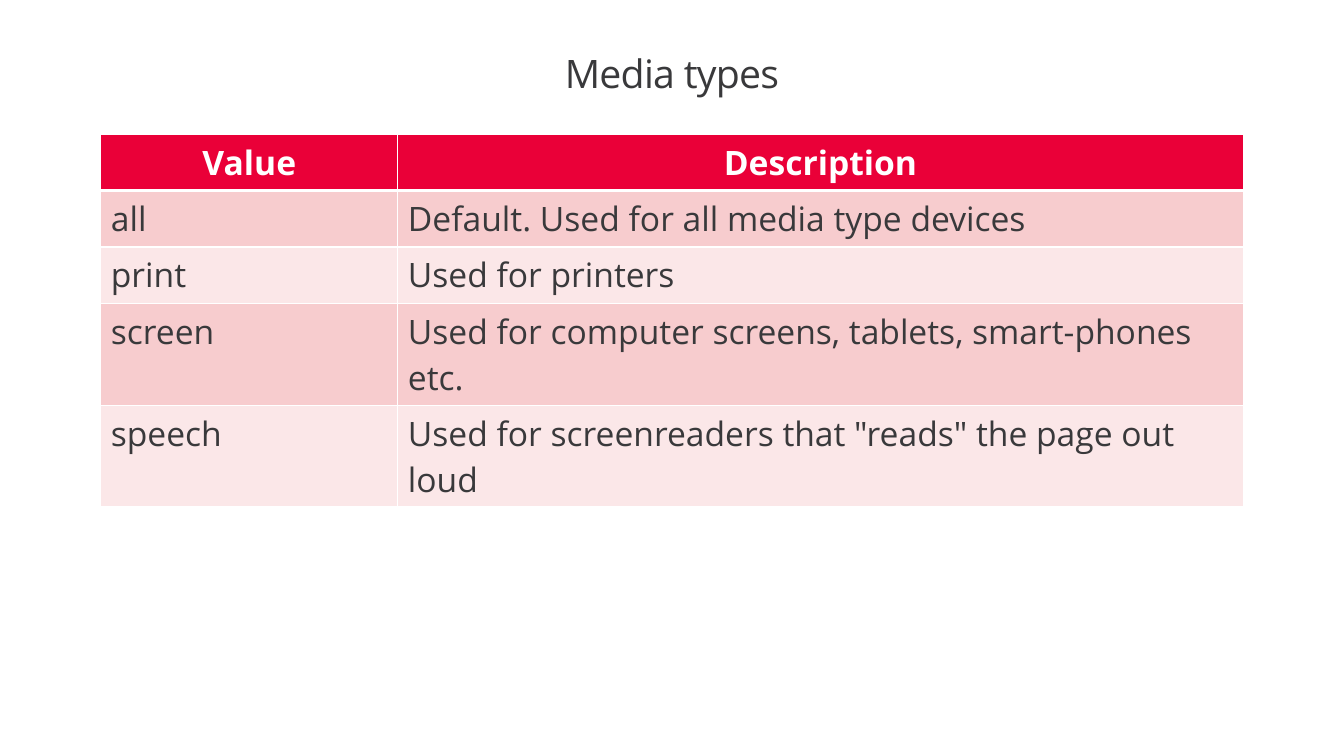
from lxml.etree import SubElement
from pptx import Presentation
from pptx.dml.color import RGBColor
from pptx.enum.text import MSO_ANCHOR, PP_ALIGN
from pptx.oxml.ns import qn
from pptx.util import Inches, Pt

WHITE = RGBColor(0xFF, 0xFF, 0xFF)
CHARCOAL = RGBColor(0x39, 0x39, 0x3B)
RED = RGBColor(0xEA, 0x00, 0x38)
ROSE = RGBColor(0xF7, 0xCC, 0xCE)
PALE_ROSE = RGBColor(0xFB, 0xE7, 0xE8)

TITLE_FORMAT = {"name": "Open Sans", "size": Pt(28), "bold": False}
HEADER_FORMAT = {"name": "Open Sans", "size": Pt(24), "bold": True}
BODY_FORMAT = HEADER_FORMAT | {"bold": False}
CELL_FORMAT = {
    "margin_left": Inches(0.1), "margin_right": Inches(0.1),
    "margin_top": Inches(0.05), "margin_bottom": Inches(0.05),
}

MEDIA_TYPES = [
    ("Value", "Description"),
    ("all", "Default. Used for all media type devices"),
    ("print", "Used for printers"),
    ("screen", "Used for computer screens, tablets, smart-phones etc."),
    ("speech", 'Used for screenreaders that "reads" the page out loud'),
]
COLUMN_SHARES = (0.26, 0.74)
ONE_LINE, TWO_LINES = 0.56, 1.01
ROW_HEIGHTS = (ONE_LINE, ONE_LINE, ONE_LINE, TWO_LINES, TWO_LINES)


def write(paragraph, wording, text_format, color, alignment):
    paragraph.alignment = alignment
    run = paragraph.add_run()
    run.text = wording
    for attribute, value in text_format.items():
        setattr(run.font, attribute, value)
    run.font.color.rgb = color
    return run


def add_title(slide, left, top, width, height, wording):
    title = slide.shapes.add_textbox(
        Inches(left), Inches(top), Inches(width), Inches(height))
    frame = title.text_frame
    frame_format = {
        "word_wrap": True, "vertical_anchor": MSO_ANCHOR.MIDDLE,
        "margin_left": 0, "margin_top": 0, "margin_right": 0, "margin_bottom": 0,
    }
    for attribute, value in frame_format.items():
        setattr(frame, attribute, value)
    heading = frame.paragraphs[0]
    heading.line_spacing = 0.86
    run = write(heading, wording, TITLE_FORMAT, CHARCOAL, PP_ALIGN.CENTER)
    run.font._element.set("spc", "-50")


def add_borders(cell, widths):
    """Draw white borders, given in points by side: L, R, T, B."""
    properties = cell._tc.get_or_add_tcPr()
    for side, width in widths.items():
        border = SubElement(properties, qn(f"a:ln{side}"), w=str(Pt(width)))
        fill = SubElement(border, qn("a:solidFill"))
        SubElement(fill, qn("a:srgbClr"), val=str(WHITE))


def add_media_table(slide, left, top, width, rows):
    table = slide.shapes.add_table(
        len(rows), len(COLUMN_SHARES), Inches(left), Inches(top),
        Inches(width), Inches(sum(ROW_HEIGHTS))).table
    for column, share in zip(table.columns, COLUMN_SHARES):
        column.width = Inches(width * share)
    for row, height in zip(table.rows, ROW_HEIGHTS):
        row.height = Inches(height)
    for row_number, wordings in enumerate(rows):
        if row_number == 0:
            fill, color = RED, WHITE
            text_format, alignment = HEADER_FORMAT, PP_ALIGN.CENTER
        else:
            fill, color = (ROSE if row_number % 2 else PALE_ROSE), CHARCOAL
            text_format, alignment = BODY_FORMAT, PP_ALIGN.LEFT
        borders = {"L": 1, "R": 1, "T": 3 if row_number == 1 else 1,
                   "B": 3 if row_number == 0 else 1}
        for column_number, wording in enumerate(wordings):
            cell = table.cell(row_number, column_number)
            for attribute, value in CELL_FORMAT.items():
                setattr(cell, attribute, value)
            add_borders(cell, borders)
            cell.fill.solid()
            cell.fill.fore_color.rgb = fill
            write(cell.text_frame.paragraphs[0], wording,
                  text_format, color, alignment)


def main():
    deck = Presentation()
    deck.slide_width, deck.slide_height = Inches(13.33), Inches(7.5)
    slide = deck.slides.add_slide(deck.slide_layouts[6])
    slide.background.fill.solid()
    slide.background.fill.fore_color.rgb = WHITE
    add_title(slide, 1, 0.31, 11.33, 0.89, "Media types")
    add_media_table(slide, 1, 1.33, 11.33, MEDIA_TYPES)
    deck.save("out.pptx")


if __name__ == "__main__":
    main()
